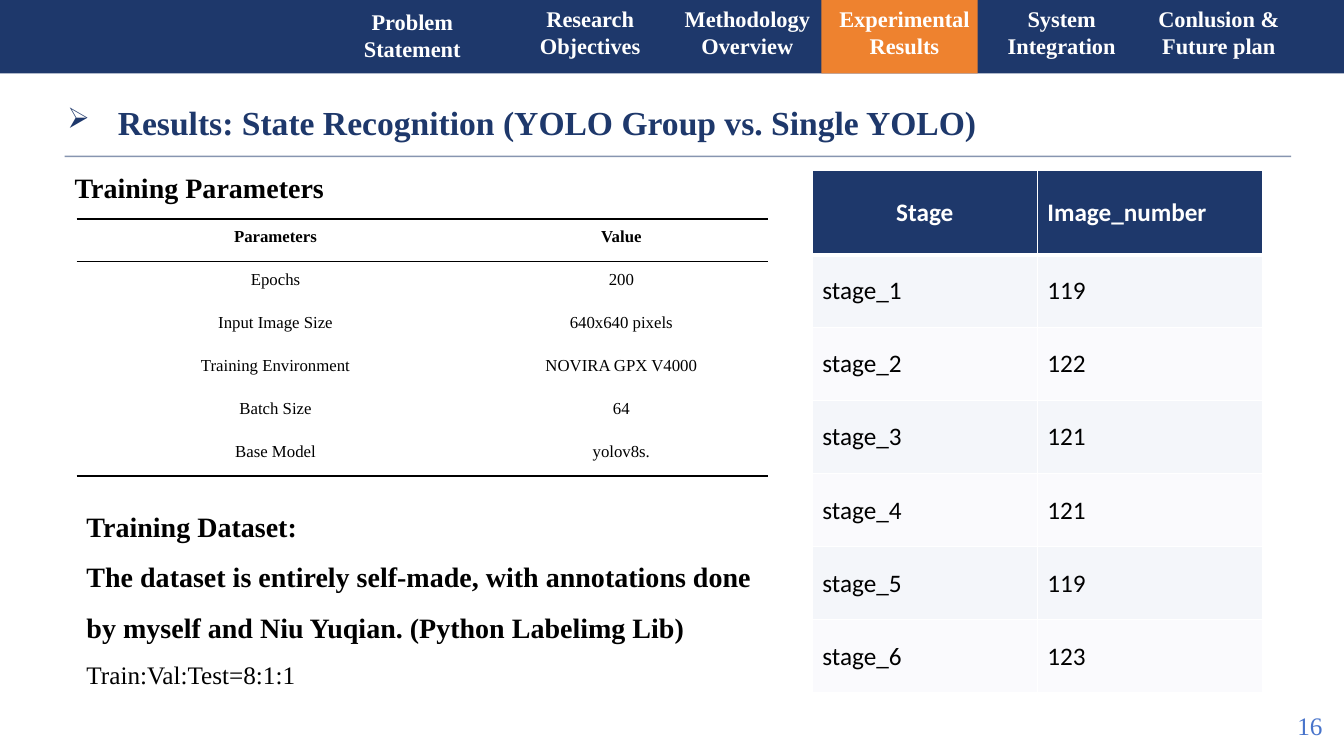
from dataclasses import dataclass

import pptx
import pptx.dml.color
import pptx.enum.shapes
import pptx.enum.text
import pptx.oxml
import pptx.oxml.ns
import pptx.util
from lxml import etree

Cm = pptx.util.Cm
Pt = pptx.util.Pt
RGBColor = pptx.dml.color.RGBColor
Align = pptx.enum.text.PP_ALIGN
Anchor = pptx.enum.text.MSO_ANCHOR
qn = pptx.oxml.ns.qn

NAVY = RGBColor(0x1E, 0x38, 0x6B)
ORANGE = RGBColor(0xEE, 0x82, 0x2F)
BLUE = RGBColor(0x48, 0x74, 0xCB)
BLACK = RGBColor(0, 0, 0)
WHITE = RGBColor(0xFF, 0xFF, 0xFF)
BANDS = (RGBColor(0xCF, 0xD6, 0xEC), RGBColor(0xE9, 0xEB, 0xF6))
SERIF = "Times New Roman"
BAR_HEIGHT = 1.85
TAB_STEP = 3.96


@dataclass(frozen=True)
class Tab:
    text: str
    left: float
    top: float = 0
    width: float = 4.19


@dataclass(frozen=True)
class Edge:
    color: RGBColor
    width: float


TABS = [Tab("Problem Statement", 8.46, 0.08, 3.86)] + [
    Tab(text, 12.78 + TAB_STEP * i)
    for i, text in enumerate(
        ["Research Objectives", "Methodology Overview", "Experimental Results",
         "System Integration", "Conlusion &\nFuture plan"]
    )
]
ACTIVE_TAB = TABS[3]

PARAMETERS = [
    ("Parameters", "Value"),
    ("Epochs", "200"),
    ("Input Image Size", "640x640 pixels"),
    ("Training Environment", "NOVIRA GPX V4000"),
    ("Batch Size", "64"),
    ("Base Model", "yolov8s."),
]
STAGE_COUNTS = [119, 122, 121, 121, 119, 123]
STAGES = [("Stage", "Image_number")] + [
    (f"stage_{i}", str(count)) for i, count in enumerate(STAGE_COUNTS, 1)
]
DATASET = [
    "Training Dataset:",
    "The dataset is entirely self-made, with annotations done",
    "by myself and Niu Yuqian. (Python Labelimg Lib)",
]


def add_alpha(fill_parent, percent: int) -> None:
    """Set the opacity of the solid fill below an XML element."""
    color = fill_parent.find(".//" + qn("a:srgbClr"))
    etree.SubElement(color, qn("a:alpha")).set("val", str(percent * 1000))


def write(paragraph, text: str, *, size: float, font: str = SERIF,
          color: RGBColor = BLACK, bold: bool = False, align=Align.LEFT,
          spacing: float | None = None, indent: float = 0,
          hanging: float = 0, bullet: str | None = None) -> None:
    paragraph.alignment = align
    if spacing:
        paragraph.line_spacing = spacing
    properties = paragraph._p.get_or_add_pPr()
    if indent:
        properties.set("marL", str(int(Cm(indent))))
        properties.set("indent", str(-int(Cm(hanging))))
    if bullet:
        etree.SubElement(properties, qn("a:buSzPct")).set("val", "85000")
        etree.SubElement(properties, qn("a:buChar")).set("char", bullet)
    run = paragraph.add_run()
    run.text = text
    run.font.size = Pt(size)
    run.font.name = font
    run.font.bold = bold
    run.font.color.rgb = color


def add_text(slide, left: float, top: float, width: float, height: float,
             text: str, *, anchor=Anchor.TOP, **style):
    """Add a text box with one paragraph per line and return its frame."""
    frame = slide.shapes.add_textbox(Cm(left), Cm(top), Cm(width), Cm(height)).text_frame
    frame.word_wrap = True
    frame.vertical_anchor = anchor
    for i, line in enumerate(text.split("\n")):
        paragraph = frame.add_paragraph() if i else frame.paragraphs[0]
        write(paragraph, line, **style)
    return frame


def add_block(slide, left: float, width: float, color: RGBColor) -> None:
    block = slide.shapes.add_shape(
        pptx.enum.shapes.MSO_SHAPE.RECTANGLE, Cm(left), 0, Cm(width), Cm(BAR_HEIGHT))
    block.shadow.inherit = False
    block.fill.solid()
    block.fill.fore_color.rgb = color
    block.line.fill.background()


def add_grid(slide, left: float, top: float, widths: list[float], heights: list[float]):
    table = slide.shapes.add_table(
        len(heights), len(widths), Cm(left), Cm(top),
        Cm(sum(widths)), Cm(sum(heights))).table
    table.horz_banding = False
    for column, width in zip(table.columns, widths):
        column.width = Cm(width)
    for row, height in zip(table.rows, heights):
        row.height = Cm(height)
    return table


def style_cell(cell, fill: RGBColor, *, left: Edge | None = None, right: Edge | None = None,
               top: Edge | None = None, bottom: Edge | None = None) -> None:
    properties = cell._tc.get_or_add_tcPr()
    for tag, edge in zip(("a:lnL", "a:lnR", "a:lnT", "a:lnB"), (left, right, top, bottom)):
        line = etree.SubElement(properties, qn(tag))
        if edge is None:
            etree.SubElement(line, qn("a:noFill"))
            continue
        line.set("w", str(int(Pt(edge.width))))
        solid = etree.SubElement(line, qn("a:solidFill"))
        etree.SubElement(solid, qn("a:srgbClr")).set("val", str(edge.color))
    cell.fill.solid()
    cell.fill.fore_color.rgb = fill


def add_parameters(slide) -> None:
    table = add_grid(slide, 1.93, 5.51, [9.12, 8.31], [1.08] * len(PARAMETERS))
    thick, thin = Edge(BLACK, 1.5), Edge(BLACK, 0.5)
    tops = {0: thick, 1: thin}
    bottoms = {0: thin, len(PARAMETERS) - 1: thick}
    for r, row in enumerate(PARAMETERS):
        for c, text in enumerate(row):
            cell = table.cell(r, c)
            style_cell(cell, WHITE, top=tops.get(r), bottom=bottoms.get(r))
            cell.margin_left = cell.margin_right = Cm(0.19)
            cell.margin_top = cell.margin_bottom = 0
            write(cell.text_frame.paragraphs[0], text, size=12, bold=r == 0,
                  align=Align.CENTER, spacing=1.5, indent=0.91)


def add_stages(slide) -> None:
    table = add_grid(slide, 20.47, 4.29, [5.67] * 2, [2.13] + [1.84] * len(STAGE_COUNTS))
    thin, thick = Edge(WHITE, 1), Edge(WHITE, 3)
    for r, row in enumerate(STAGES):
        header = r == 0
        for c, text in enumerate(row):
            cell = table.cell(r, c)
            style_cell(cell, NAVY if header else BANDS[(r - 1) % 2], left=thin, right=thin,
                       top=thick if r == 1 else thin, bottom=thick if header else thin)
            if not header:
                add_alpha(cell._tc.tcPr.find(qn("a:solidFill")), 21)
            cell.vertical_anchor = Anchor.MIDDLE
            write(cell.text_frame.paragraphs[0], text, size=18, font="Calibri",
                  color=WHITE if header else BLACK, bold=header,
                  align=Align.CENTER if header and c == 0 else Align.LEFT)


def add_title_rule(slide) -> None:
    rule = slide.shapes.add_connector(
        pptx.enum.shapes.MSO_CONNECTOR.STRAIGHT, Cm(1.63), Cm(3.94), Cm(32.54), Cm(3.94))
    rule.line.color.rgb = NAVY
    rule.line.width = Pt(1)
    properties = rule._element.spPr
    add_alpha(properties, 53)
    etree.SubElement(properties, qn("a:effectLst"))


def main() -> None:
    deck = pptx.Presentation()
    deck.slide_width, deck.slide_height = Cm(33.87), Cm(19.05)
    slide = deck.slides.add_slide(deck.slide_layouts[6])

    add_text(slide, 32.16, 17.78, 1.7, 1.02, "16", anchor=Anchor.MIDDLE,
             size=18, color=BLUE, align=Align.CENTER)
    add_title_rule(slide)
    add_text(slide, 1.45, 2.44, 29.77, 1.27,
             "Results: State Recognition (YOLO Group vs. Single YOLO)",
             size=24, color=NAVY, bold=True, indent=1.27, hanging=1.27, bullet="➢")
    add_text(slide, 1.63, 4.17, 18, 1.27, "Training Parameters",
             size=20, bold=True, align=Align.JUSTIFY)
    add_parameters(slide)
    add_stages(slide)
    dataset = add_text(slide, 1.93, 12.29, 17.45, 6.02, "\n".join(DATASET),
                       size=20, bold=True, align=Align.JUSTIFY, spacing=1.5)
    write(dataset.add_paragraph(), "Train:Val:Test=8:1:1",
          size=18, align=Align.JUSTIFY, spacing=1.5)

    add_block(slide, 0, 33.87, NAVY)
    add_block(slide, ACTIVE_TAB.left, 3.94, ORANGE)
    for tab in TABS:
        add_text(slide, tab.left, tab.top, tab.width, 1.73, tab.text,
                 size=16, color=WHITE, bold=True, align=Align.CENTER)
    deck.save("out.pptx")


if __name__ == "__main__":
    main()
